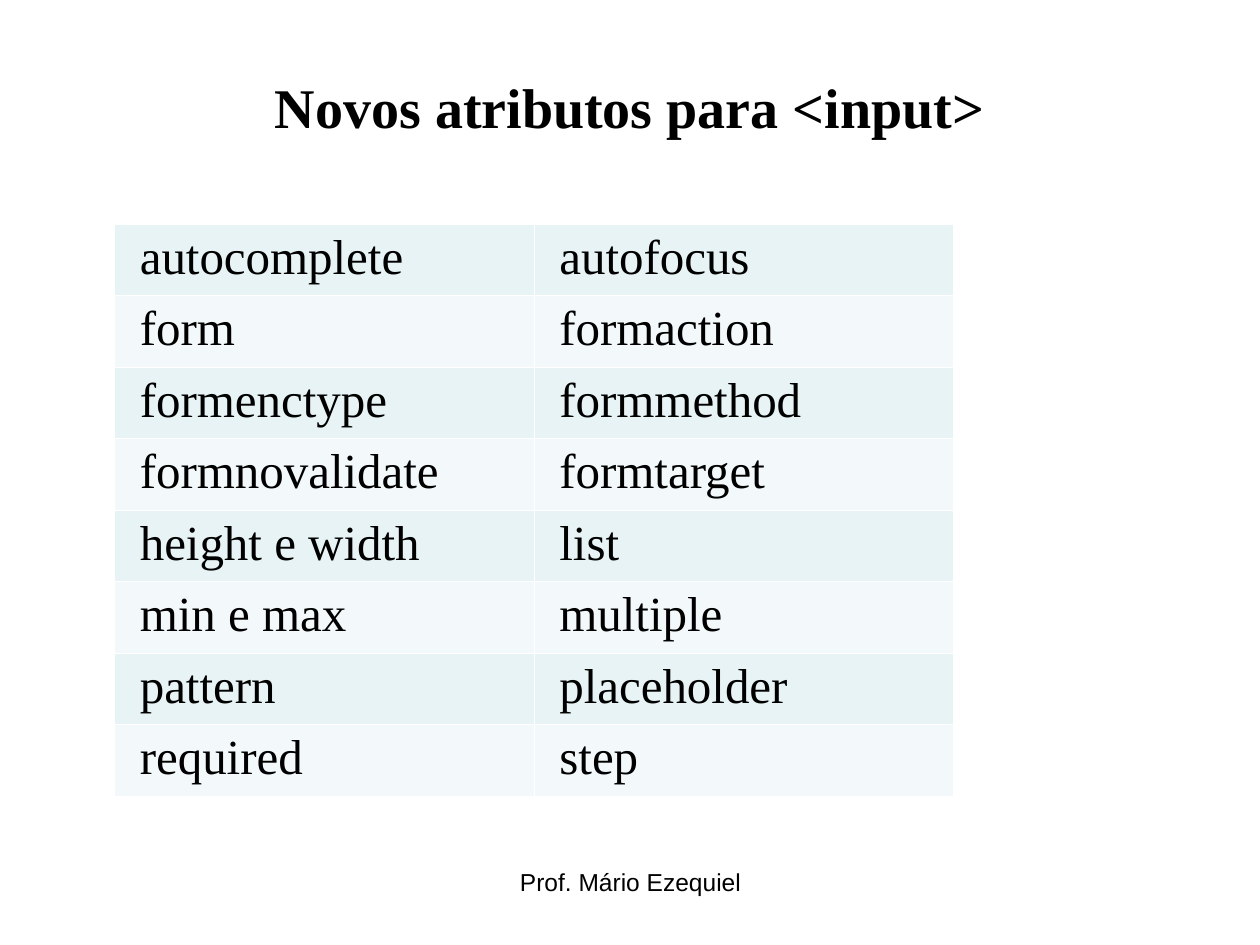
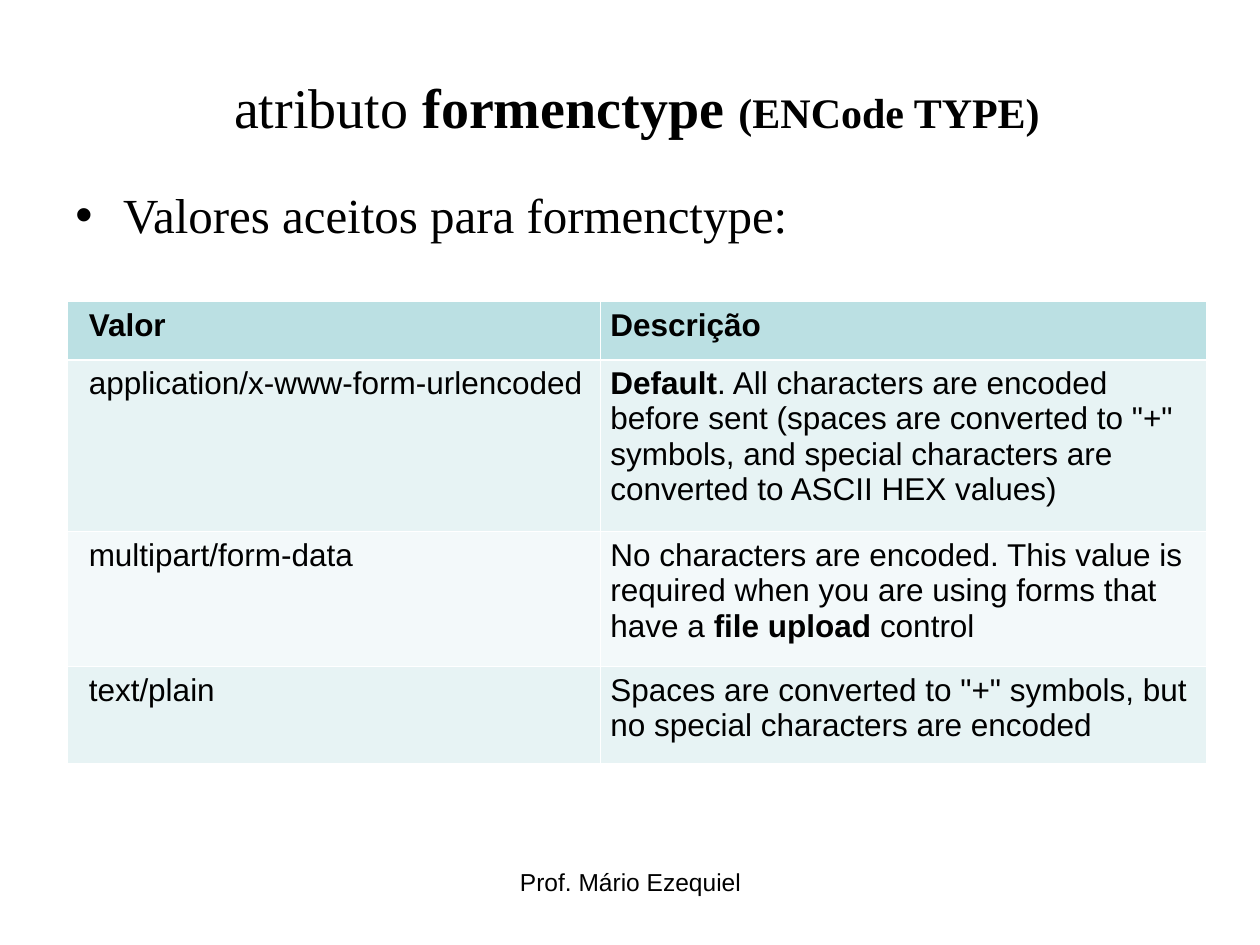
from dataclasses import dataclass

from lxml import etree
from pptx import Presentation
from pptx import util as u
from pptx.dml.color import RGBColor
from pptx.enum import text
from pptx.oxml import ns

COLS, ROWS = 100, 75  # slide grid
SLIDE_W, SLIDE_H = u.Inches(10), u.Inches(7.5)


@dataclass(frozen=True)
class Theme:
    serif: str = "Times New Roman"
    sans: str = "Arial"
    ink: str = "000000"
    rule: str = "FFFFFF"
    header: str = "BBE0E3"
    bands: tuple = ("E7F3F4", "F3F9FA")
    title: int = 32
    subtitle: int = 24
    body: int = 28
    cell: int = 18
    footer: int = 14
    thin: float = 0.45
    thick: float = 1.47


T = Theme()
TITLE_BOX = (5, 3, 90, 10.9)
FOOTER_BOX = (34.2, 68.3, 31.7, 5.2)
FOOTER = "Prof. Mário Ezequiel"

ATTRIBUTES = [
    ("autocomplete", "autofocus"),
    ("form", "formaction"),
    ("formenctype", "formmethod"),
    ("formnovalidate", "formtarget"),
    ("height e width", "list"),
    ("min e max", "multiple"),
    ("pattern", "placeholder"),
    ("required", "step"),
]

# A cell is a list of (wording, bold) runs.
ENCODINGS = [
    ([("Valor", True)], [("Descrição", True)]),
    ([("application/x-www-form-urlencoded", False)],
     [("Default", True),
      (". All characters are encoded before sent (spaces are converted to "
       '"+" symbols, and special characters are converted to ASCII HEX values)',
       False)]),
    ([("multipart/form-data", False)],
     [("No characters are encoded. This value is required when you are using "
       "forms that have a ", False),
      ("file upload ", True), ("control", False)]),
    ([("text/plain", False)],
     [('Spaces are converted to "+" symbols, but no special characters are '
       "encoded", False)]),
]


def across(cols):
    return round(SLIDE_W * cols / COLS)


def down(rows):
    return round(SLIDE_H * rows / ROWS)


def place(box):
    x, y, w, h = box
    return across(x), down(y), across(w), down(h)


def add_run(p, wording, size, font, bold=False):
    r = p.add_run()
    r.text = wording
    r.font.size, r.font.name, r.font.bold = u.Pt(size), font, bold
    r.font.color.rgb = RGBColor.from_string(T.ink)


def add_text(s, box, anchor=text.MSO_ANCHOR.TOP):
    tf = s.shapes.add_textbox(*place(box)).text_frame
    tf.word_wrap = True
    tf.vertical_anchor = anchor
    return tf


def add_title(s, runs, shift=0):
    """Centre (wording, size, bold) runs; shift widens the left margin."""
    tf = add_text(s, TITLE_BOX, text.MSO_ANCHOR.MIDDLE)
    tf.margin_left, tf.margin_right = across(1 + shift), across(1)
    p = tf.paragraphs[0]
    p.alignment = text.PP_ALIGN.CENTER
    for wording, size, bold in runs:
        add_run(p, wording, size, T.serif, bold)


def add_footer(s):
    p = add_text(s, FOOTER_BOX).paragraphs[0]
    p.alignment = text.PP_ALIGN.CENTER
    add_run(p, FOOTER, T.footer, T.sans)


def add_bullet(s, box, wording):
    p = add_text(s, box).paragraphs[0]
    p.line_spacing = 0.9
    pPr = p._p.get_or_add_pPr()
    pPr.set("marL", str(across(3.8)))
    pPr.set("indent", str(-across(3.8)))
    etree.SubElement(pPr, ns.qn("a:buFont")).set("typeface", T.sans)
    etree.SubElement(pPr, ns.qn("a:buChar")).set("char", "•")
    add_run(p, wording, T.body, T.serif)


def add_border(cell, side, width):
    ln = etree.SubElement(cell._tc.get_or_add_tcPr(), ns.qn("a:ln" + side))
    ln.set("w", str(u.Pt(width)))
    fill = etree.SubElement(ln, ns.qn("a:solidFill"))
    etree.SubElement(fill, ns.qn("a:srgbClr")).set("val", T.rule)


def add_grid(s, box, data, widths, heights, size, font, margins, header=False):
    """Draw a banded table; margins holds a (left, right) pair per column."""
    table = s.shapes.add_table(len(data), len(widths), *place(box)).table
    table.first_row = table.horz_banding = False
    for col, width in zip(table.columns, widths):
        col.width = across(width)
    for row, height in zip(table.rows, heights):
        row.height = down(height)
    for i, row in enumerate(data):
        is_header = header and i == 0
        colour = T.header if is_header else T.bands[(i - header) % 2]
        heavy = {"B": is_header, "T": header and i == 1}
        for j, runs in enumerate(row):
            cell = table.cell(i, j)
            for side in "LRTB":
                add_border(cell, side, T.thick if heavy.get(side) else T.thin)
            cell.fill.solid()
            cell.fill.fore_color.rgb = RGBColor.from_string(colour)
            cell.margin_left, cell.margin_right = map(across, margins[j])
            for wording, bold in runs:
                add_run(cell.text_frame.paragraphs[0], wording, size, font, bold)


def new_slide(prs):
    s = prs.slides.add_slide(prs.slide_layouts[6])
    add_footer(s)
    return s


def attributes_slide(prs):
    s = new_slide(prs)
    add_title(s, [("Novos atributos para <input>", T.title, True)])
    data = [[[(name, False)] for name in row] for row in ATTRIBUTES]
    count = len(data)
    x, y, w, h = box = (9.1, 17.8, 66.6, 45.3)
    add_grid(s, box, data, [w / 2] * 2, [h / count] * count,
             T.body, T.serif, [(2, 1)] * 2)


def formenctype_slide(prs):
    s = new_slide(prs)
    add_title(s, [("atributo ", T.title, False),
                  ("formenctype ", T.title, True),
                  ("(ENCode TYPE)", T.subtitle, True)], shift=1.1)
    add_bullet(s, (5, 14.7, 90, 9.4), "Valores aceitos para formenctype:")
    add_grid(s, (5.35, 23.9, 90.5, 36.7), ENCODINGS, [42.3, 48.1],
             [4.65, 13.65, 10.7, 7.65], T.cell, T.sans,
             [(1.7, 0.8), (0.8, 0.8)], header=True)


def main():
    prs = Presentation()
    prs.slide_width, prs.slide_height = SLIDE_W, SLIDE_H
    attributes_slide(prs)
    formenctype_slide(prs)
    prs.save("out.pptx")


if __name__ == "__main__":
    main()
